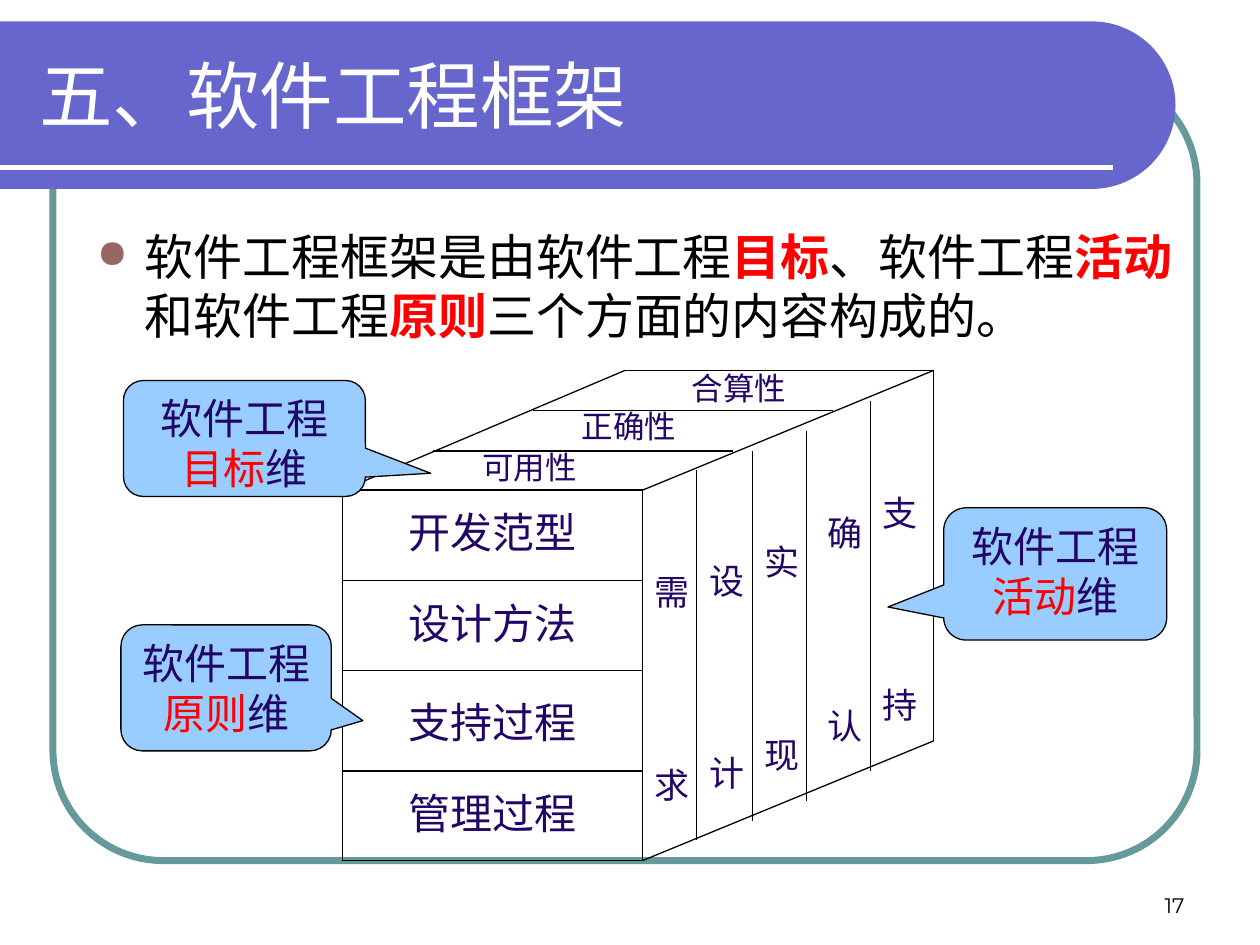
import math
from dataclasses import dataclass
from lxml import etree
from pptx import Presentation
from pptx.dml.color import RGBColor
from pptx.enum import shapes as sh, text as tx
from pptx.oxml import ns
from pptx.util import Inches, Pt


@dataclass(frozen=True)
class Theme:
    """Colours, fonts and type sizes of the slide."""
    band: str = "6666CC"
    frame: str = "669999"
    dot: str = "996666"
    note: str = "99CCFF"
    ink: str = "210567"
    key: str = "FF0000"
    dark: str = "000000"
    light: str = "FFFFFF"
    serif: str = "Times New Roman"
    sans: str = "Arial"
    body: str = "Noto Sans CJK SC"
    digit: str = "Montserrat"
    head: int = 42
    lead: int = 28
    label: int = 24
    side: int = 20
    top: int = 18
    page: int = 12
    thin: float = 0.75


T = Theme()
MID = tx.PP_ALIGN.CENTER


def apply(obj, vals):
    """Set each attribute of an object from a dict."""
    for name, val in vals.items():
        setattr(obj, name, val)


def box(x, y, w, h):
    """Turn a box in inches into lengths."""
    return [Inches(v) for v in (x, y, w, h)]


def paint(shape, fill=None, line=None, width=T.thin):
    """Give a shape its fill and outline, without a shadow."""
    shape.shadow.inherit = False
    if fill:
        shape.fill.solid()
        shape.fill.fore_color.rgb = RGBColor.from_string(fill)
    else:
        shape.fill.background()
    if line:
        shape.line.color.rgb = RGBColor.from_string(line)
        shape.line.width = Pt(width)
    else:
        shape.line.fill.background()


def rule(slide, start, end, color=T.dark, width=T.thin):
    """Draw a straight line between two points."""
    ends = [Inches(v) for v in (*start, *end)]
    line = slide.shapes.add_connector(sh.MSO_CONNECTOR.STRAIGHT, *ends)
    line.line.color.rgb = RGBColor.from_string(color)
    line.line.width = Pt(width)
    etree.SubElement(line.element.spPr, ns.qn("a:effectLst"))


def write(shape, paras, font, size, align=tx.PP_ALIGN.LEFT, gap=0,
          anchor=tx.MSO_ANCHOR.TOP, inset=0.05):
    """Fill a shape with paragraphs of (text, colour, bold) runs."""
    frame = shape.text_frame
    apply(frame, dict(word_wrap=True, auto_size=tx.MSO_AUTO_SIZE.NONE,
                      vertical_anchor=anchor, margin_top=Inches(inset),
                      margin_bottom=Inches(0.05), margin_left=Inches(0.1),
                      margin_right=Inches(0.1)))
    for i, runs in enumerate(paras):
        para = frame.add_paragraph() if i else frame.paragraphs[0]
        apply(para, dict(alignment=align, space_before=Pt(gap)))
        for words, color, bold in runs:
            run = para.add_run()
            run.text = words
            apply(run.font, dict(name=font, size=Pt(size), bold=bold))
            run.font.color.rgb = RGBColor.from_string(color)
    return frame


def label(slide, area, words, size, **form):
    """Place a text box of plain paragraphs in the cube's ink."""
    shape = slide.shapes.add_textbox(*box(*area))
    write(shape, [[(w, T.ink, False)] for w in words], T.serif, size, **form)


def banner(slide, x, y, w, h):
    """Draw the heading band with its round end, rule and title."""
    rad = h / 2
    turns = [math.radians(a) for a in range(-90, 91, 3)]
    arc = [(x + w - rad + rad * math.cos(a), y + rad + rad * math.sin(a))
           for a in turns]
    pen = slide.shapes.build_freeform(Inches(x), Inches(y))
    pen.add_line_segments([(Inches(a), Inches(b)) for a, b in [*arc, (x, y + h)]])
    paint(pen.convert_to_shape(), T.band)
    rule(slide, (x, y + 1.16), (x + w - 0.5, y + 1.16), T.light, 3)
    title = slide.shapes.title
    slide.shapes.element.append(title.element)
    left, top, width, height = box(x + 0.21, y + 0.08, w - 0.56, 1)
    apply(title, dict(left=left, top=top, width=width, height=height))
    write(title, [[("五、软件工程框架", T.light, False)]], T.sans, T.head,
          anchor=tx.MSO_ANCHOR.MIDDLE)


def lead(slide, *area):
    """Place the bulleted statement with its key words in bold."""
    parts = ["软件工程框架是由软件工程", "目标", "、软件工程", "活动",
             "和软件工程", "原则", "三个方面的内容构成的。"]
    runs = [(p, T.key if i % 2 else T.dark, bool(i % 2))
            for i, p in enumerate(parts)]
    shape = slide.shapes.add_textbox(*box(*area))
    frame = write(shape, [runs], T.body, T.lead, gap=7)
    props = frame.paragraphs[0]._p.get_or_add_pPr()
    props.set("marL", str(Inches(0.38)))
    props.set("indent", str(-Inches(0.38)))
    tint = etree.SubElement(props, ns.qn("a:buClr"))
    etree.SubElement(tint, ns.qn("a:srgbClr"), val=T.dot)
    etree.SubElement(props, ns.qn("a:buSzPct"), val="80000")
    etree.SubElement(props, ns.qn("a:buChar"), char="●")


def cube(slide, x, y, w, h):
    """Draw the cube of goals, principles and activities."""
    face, deep, back = 2.38, 0.95, 2.24
    mid, right, front, low = x + face, x + w, y + deep, y + h
    edge = low - front
    for start, end in [((x + back, y), (x, front)), ((mid, front), (right, y)),
                       ((x + back, y), (right, y)), ((x, front), (x, low)),
                       ((mid, front), (mid, low)), ((right, y), (right, low - deep)),
                       ((mid, low), (right, low - deep))]:
        rule(slide, start, end)
    for dx, dy in [(1.51, 0.32), (0.72, 0.64)]:
        rule(slide, (x + dx, y + dy), (x + dx + face, y + dy))
    for dy in (0, 0.72, 1.43, 2.23, edge):
        rule(slide, (x, front + dy), (mid, front + dy))
    for dx, dy in [(0.43, 0.79), (0.87, 0.64), (1.3, 0.48), (1.81, 0.24)]:
        rule(slide, (mid + dx, y + dy), (mid + dx, y + dy + edge))
    for words, dy in [("开发范型", 0.08), ("设计方法", 0.8),
                      ("支持过程", 1.59), ("管理过程", 2.31)]:
        label(slide, (x + 0.07, front + dy, 2.24, 0.5), [words], T.label,
              align=MID)
    for words, dx, dy in [("需求", 0, 1.03), ("设计", 0.43, 0.94),
                          ("实现", 0.87, 0.79), ("确认", 1.37, 0.56),
                          ("支持", 1.81, 0.4)]:
        label(slide, (mid + dx, y + dy, 0.43, 2.46), words, T.side,
              gap=86, inset=0.56)
    for words, dx, dy in [("可用性", 1.01, 0.57), ("正确性", 1.8, 0.24),
                          ("合算性", 2.67, -0.06)]:
        label(slide, (x + dx, y + dy, 1.66, 0.4), [words], T.top)


def callout(slide, area, key, tip):
    """Place a callout naming one dimension of the cube."""
    kind = sh.MSO_SHAPE.ROUNDED_RECTANGULAR_CALLOUT
    shape = slide.shapes.add_shape(kind, *box(*area))
    for i, val in enumerate((*tip, 0.17)):
        shape.adjustments[i] = val
    paint(shape, T.note, T.dark)
    runs = [("软件工程", T.ink, False), (key, T.key, False), ("维", T.ink, False)]
    write(shape, [runs], T.serif, T.label, align=MID)


def main():
    """Build the slide and save it."""
    deck = Presentation()
    apply(deck, dict(slide_width=Inches(10), slide_height=Inches(7.5)))
    slide = deck.slides.add_slide(deck.slide_layouts[5])
    frame = slide.shapes.add_shape(sh.MSO_SHAPE.ROUNDED_RECTANGLE,
                                   *box(0.42, 0.58, 9.08, 6.25))
    frame.adjustments[0] = 0.14
    paint(frame, line=T.frame, width=4)
    banner(slide, 0, 0.17, 9.33, 1.33)
    page = slide.shapes.add_textbox(*box(7.17, 6.83, 2.33, 0.5))
    write(page, [[("17", T.dark, False)]], T.digit, T.page,
          align=tx.PP_ALIGN.RIGHT, anchor=tx.MSO_ANCHOR.BOTTOM)
    lead(slide, 0.67, 1.75, 8.79, 4.83)
    cube(slide, 2.72, 2.94, 4.69, 3.89)
    for area, key, tip in [((7.49, 4.03, 1.77, 1.05), "活动", (-0.75, 0.25)),
                           ((0.98, 3.02, 1.92, 0.92), "目标", (0.77, 0.3)),
                           ((0.96, 4.96, 1.67, 1), "原则", (0.65, 0.26))]:
        callout(slide, area, key, tip)
    deck.save("out.pptx")


if __name__ == "__main__":
    main()
